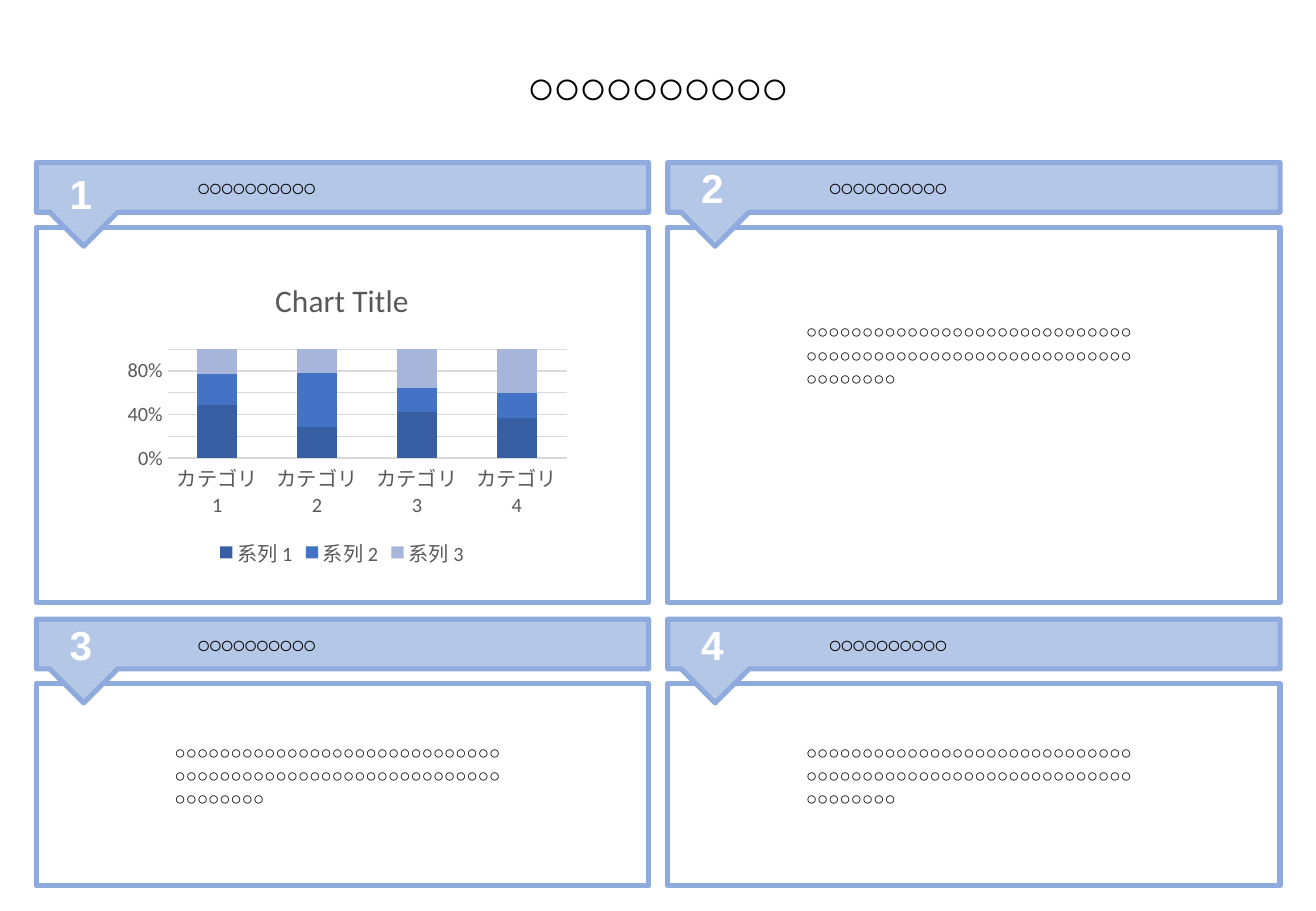
from dataclasses import dataclass

from pptx import Presentation
from pptx.chart.data import CategoryChartData
from pptx.dml.color import RGBColor
from pptx.enum.chart import XL_CHART_TYPE, XL_LEGEND_POSITION, XL_TICK_MARK
from pptx.enum.shapes import MSO_SHAPE
from pptx.enum.text import MSO_ANCHOR, MSO_AUTO_SIZE, PP_ALIGN
from pptx.oxml.ns import qn
from pptx.util import Cm, Pt
from lxml.etree import SubElement


@dataclass(frozen=True)
class Theme:
    font: str = "Arial"
    chart_font: str = "Calibri"
    ink: RGBColor = RGBColor(0, 0, 0)
    white: RGBColor = RGBColor(0xFF, 0xFF, 0xFF)
    border: RGBColor = RGBColor(0x8F, 0xAA, 0xDC)
    banner: RGBColor = RGBColor(0xB4, 0xC7, 0xE7)
    chart_text: RGBColor = RGBColor(0x59, 0x59, 0x59)
    grid: RGBColor = RGBColor(0xD9, 0xD9, 0xD9)
    series: tuple = (RGBColor(0x38, 0x5F, 0xA3), RGBColor(0x44, 0x72, 0xC4),
                     RGBColor(0xA8, 0xB5, 0xDB))
    title_size: float = 28
    number_size: float = 24
    heading_size: float = 14
    body_size: float = 11
    chart_title_size: float = 18.6
    chart_size: float = 12
    border_width: float = 3


THEME = Theme()

HEADING = "○" * 10
BODY = "○" * 66

# Section grid, in cm
LEFTS = (0.76, 13.96)
BANNER_TOPS = (3.4, 12.95)
PANEL_HEIGHTS = (7.85, 4.22)
BODY_OFFSETS = (1.8, 1.04)
SECTION_WIDTH = 12.8
PANEL_OFFSET = 1.35
BANNER_OUTLINE = ((0, 0), (SECTION_WIDTH, 0), (SECTION_WIDTH, 1.04), (1.7, 1.04),
                  (0.99, 1.75), (0.28, 1.04), (0, 1.04))


def write(frame, text, size, color=THEME.ink, bold=False, align=PP_ALIGN.LEFT, tight=True):
    """Fill a text frame with one formatted paragraph."""
    frame.text = text
    frame.word_wrap = True
    frame.vertical_anchor = MSO_ANCHOR.TOP
    frame.auto_size = MSO_AUTO_SIZE.SHAPE_TO_FIT_TEXT
    paragraph = frame.paragraphs[0]
    paragraph.alignment = align
    for run in paragraph.runs:
        run.font.name = THEME.font
        run.font.size = Pt(size)
        run.font.bold = bold
        run.font.color.rgb = color
        properties = run.font._element
        SubElement(properties, qn("a:ea")).set("typeface", THEME.font)
        if tight:
            properties.set("spc", "-150")
    return paragraph


def add_text(slide, left, top, width, height, text, size, **style):
    box = slide.shapes.add_textbox(Cm(left), Cm(top), Cm(width), Cm(height))
    return write(box.text_frame, text, size, **style)


def outline(shape):
    shape.shadow.inherit = False
    shape.line.color.rgb = THEME.border
    shape.line.width = Pt(THEME.border_width)


def add_panel(slide, left, top, height):
    panel = slide.shapes.add_shape(MSO_SHAPE.RECTANGLE, Cm(left), Cm(top),
                                   Cm(SECTION_WIDTH), Cm(height))
    panel.fill.background()
    outline(panel)


def add_banner(slide, left, top):
    """Heading bar with a pointer below its number."""
    corners = [(Cm(left + x), Cm(top + y)) for x, y in BANNER_OUTLINE]
    builder = slide.shapes.build_freeform(*corners[0])
    builder.add_line_segments(corners[1:], close=True)
    banner = builder.convert_to_shape()
    banner.fill.solid()
    banner.fill.fore_color.rgb = THEME.banner
    outline(banner)


def add_section(slide, number):
    row, column = divmod(number - 1, 2)
    left, top = LEFTS[column], BANNER_TOPS[row]
    panel_top = top + PANEL_OFFSET
    add_panel(slide, left, panel_top, PANEL_HEIGHTS[row])
    add_banner(slide, left, top)
    add_text(slide, left + 3.1, top + 0.1, 6.6, 0.86, HEADING, THEME.heading_size)
    # The first number sits slightly lower than the others
    number_top = top if number == 1 else top - 0.11
    add_text(slide, left + 0.33, number_top, 1.2, 1.27, str(number), THEME.number_size,
             color=THEME.white, bold=True, align=PP_ALIGN.CENTER)
    if number > 1:
        body = add_text(slide, left + 2.64, panel_top + BODY_OFFSETS[row], 7.5, 2.13, BODY,
                        THEME.body_size, align=PP_ALIGN.JUSTIFY, tight=False)
        body.line_spacing = 1.05


def style_chart_font(font, size=THEME.chart_size):
    font.name = THEME.chart_font
    font.size = Pt(size)
    font.bold = False
    font.color.rgb = THEME.chart_text


def add_share_chart(slide):
    shares = CategoryChartData()
    shares.categories = [f"カテゴリ {n}" for n in range(1, 5)]
    rows = ((49, 28, 42, 37), (28, 49, 22, 23), (23, 22, 36, 41))
    for n, values in enumerate(rows, start=1):
        shares.add_series(f"系列 {n}", values)
    chart = slide.shapes.add_chart(XL_CHART_TYPE.COLUMN_STACKED_100, Cm(2.26), Cm(5.44),
                                   Cm(9.78), Cm(6.53), shares).chart
    style_chart_font(chart.font)

    # Title and legend
    chart.has_title = True
    chart.chart_title.include_in_layout = False
    chart.chart_title.text_frame.text = "Chart Title"
    style_chart_font(chart.chart_title.text_frame.paragraphs[0].runs[0].font,
                     THEME.chart_title_size)
    chart.has_legend = True
    chart.legend.position = XL_LEGEND_POSITION.BOTTOM
    chart.legend.include_in_layout = False
    style_chart_font(chart.legend.font)

    # Columns
    plot = chart.plots[0]
    plot.vary_by_categories = False
    plot.gap_width = 150
    plot.overlap = 100
    for series, color in zip(plot.series, THEME.series):
        series.format.fill.solid()
        series.format.fill.fore_color.rgb = color

    # Axes
    for axis in (chart.category_axis, chart.value_axis):
        axis.major_tick_mark = XL_TICK_MARK.NONE
        axis.minor_tick_mark = XL_TICK_MARK.NONE
        style_chart_font(axis.tick_labels.font)
    shares_axis = chart.value_axis
    shares_axis.tick_labels.number_format = "0%"
    shares_axis.tick_labels.number_format_is_linked = False
    shares_axis.format.line.fill.background()
    shares_axis.has_major_gridlines = True
    for line in (chart.category_axis.format.line, shares_axis.major_gridlines.format.line):
        line.color.rgb = THEME.grid
        line.width = Pt(0.75)


def set_title(slide, text):
    title = slide.shapes.title
    title.left, title.top, title.width, title.height = Cm(3.91), Cm(1.07), Cm(19.69), Cm(1.45)
    write(title.text_frame, text, THEME.title_size, bold=True, align=PP_ALIGN.CENTER)


def main():
    presentation = Presentation()
    presentation.slide_width, presentation.slide_height = Cm(27.51), Cm(19.05)
    slide = presentation.slides.add_slide(presentation.slide_layouts[5])
    set_title(slide, HEADING)
    for number in range(1, 5):
        add_section(slide, number)
    add_share_chart(slide)
    presentation.save("out.pptx")


main()
